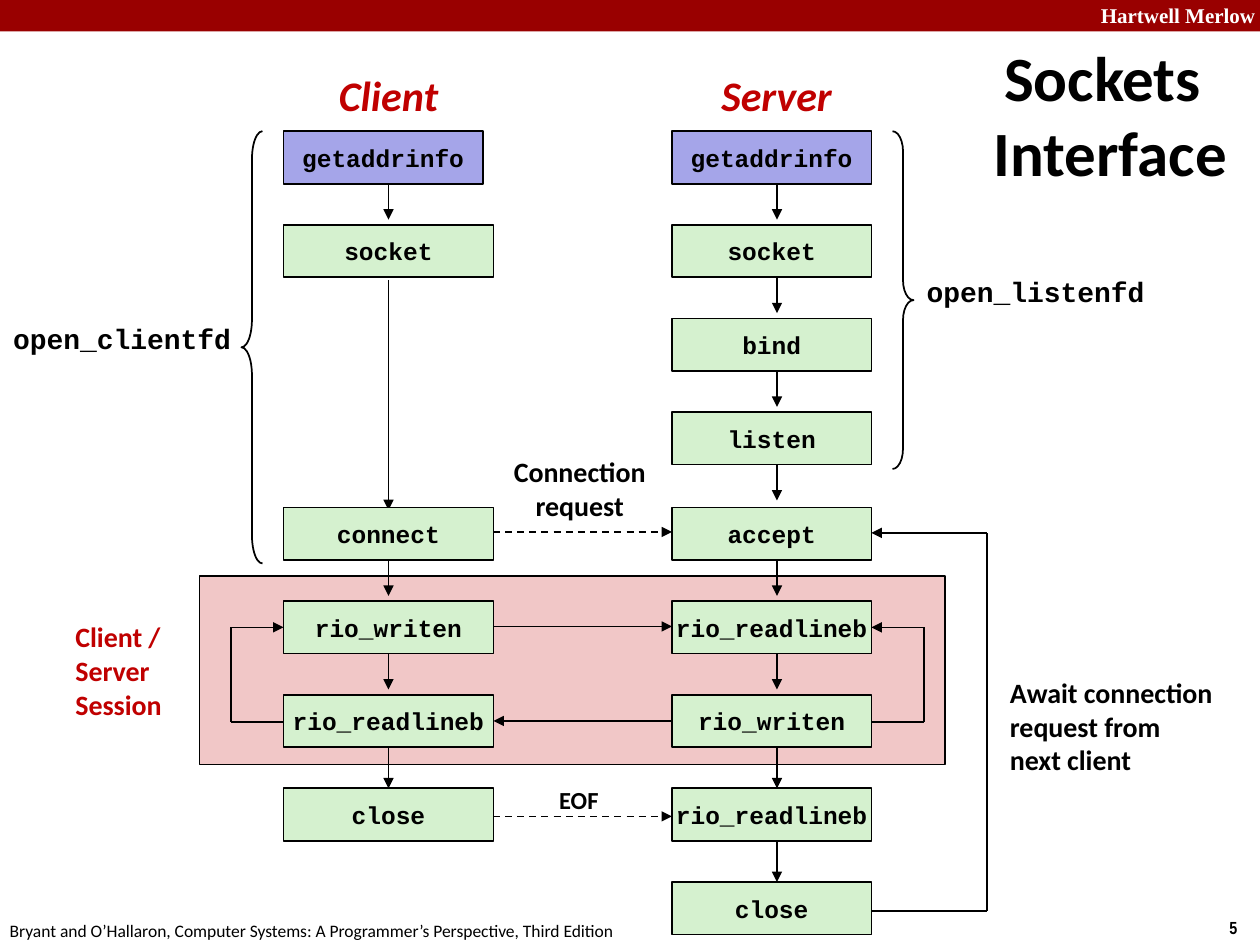
from itertools import pairwise
from pptx import Presentation
from pptx import util as u
from pptx.dml.color import RGBColor
from pptx.enum import dml, shapes, text
from pptx.oxml.ns import qn
from lxml import etree

COLORS = {"black": "000000", "white": "FFFFFF", "banner": "990000", "accent": "C00000",
          "panel": "F1C7C7", "call": "D5F1CF", "lookup": "A5A5E9"}
LEFT, CENTER = text.PP_ALIGN.LEFT, text.PP_ALIGN.CENTER


def write(shape, words, size=14, font="Calibri", color="black", bold=True, italic=False,
          align=CENTER, anchor=text.MSO_ANCHOR.MIDDLE, wrap=False):
    frame = shape.text_frame
    frame.text = words
    frame.word_wrap = wrap
    frame.auto_size = text.MSO_AUTO_SIZE.NONE
    frame.vertical_anchor = anchor
    for para in frame.paragraphs:
        para.alignment = align
        for span in para.runs:
            span.font.name = font
            span.font.size = u.Pt(size)
            span.font.bold = bold
            span.font.italic = italic
            span.font.color.rgb = RGBColor.from_string(COLORS[color])


def outline(shape, fill=None):
    shape.shadow.inherit = False
    shape.line.color.rgb = RGBColor.from_string(COLORS["black"])
    shape.line.width = u.Pt(1)
    if fill:
        shape.fill.solid()
        shape.fill.fore_color.rgb = RGBColor.from_string(COLORS[fill])
    else:
        shape.fill.background()


deck = Presentation()
deck.slide_width, deck.slide_height = u.Pt(720), u.Pt(540)
page = deck.slides.add_slide(deck.slide_layouts[5])

title = page.shapes.title
title.left, title.top, title.width, title.height = u.Pt(546), u.Pt(18), u.Pt(168), u.Pt(94)
write(title, "Sockets Interface", size=36, wrap=True)
indent = title.text_frame.paragraphs[0]._p.get_or_add_pPr()
indent.set("marL", str(u.Pt(9)))
indent.set("indent", str(-u.Pt(9)))

banner = page.shapes.add_shape(shapes.MSO_SHAPE.RECTANGLE, 0, 0, u.Pt(720), u.Pt(18))
outline(banner, "banner")
banner.line.fill.background()
session = page.shapes.add_shape(
    shapes.MSO_SHAPE.RECTANGLE, u.Pt(114), u.Pt(329), u.Pt(426), u.Pt(108))
outline(session, "panel")

BOX_HEIGHT, PITCH = 30, 53.5
rows = [75 + PITCH * i for i in range(4)] + [290 + PITCH * i for i in range(5)]
CLIENT_X, SERVER_X = 222, 444
CLIENT_LEFT, CLIENT_RIGHT, SERVER_LEFT, SERVER_RIGHT = 162, 282, 384, 498

routes = [
    ([(CLIENT_X, 160), (CLIENT_X, 291.5)], False),
    ([(240, 304), (SERVER_LEFT, 304)], True),
    ([(240, 466.5), (SERVER_LEFT, 466.5)], True),
    ([(CLIENT_RIGHT, 358), (SERVER_LEFT, 358)], False),
    ([(SERVER_LEFT, 412), (CLIENT_RIGHT, 412)], False),
    ([(CLIENT_LEFT, 412.5), (132, 412.5), (132, 358.5), (CLIENT_LEFT, 358.5)], False),
    ([(SERVER_RIGHT, 412.5), (528, 412.5), (528, 358.5), (SERVER_RIGHT, 358.5)], False),
    ([(SERVER_RIGHT, 520.5), (564, 520.5), (564, 304.5), (SERVER_RIGHT, 304.5)], False),
]
for x, steps in ((CLIENT_X, (0, 4, 5, 6)), (SERVER_X, range(8))):
    for step in steps:
        reach = PITCH if step > 5 else 50.5
        routes.append(([(x, rows[step] + BOX_HEIGHT - 1), (x, rows[step] + reach)], False))

for points, dashed in routes:
    for start, end in pairwise(points):
        arrow = page.shapes.add_connector(
            shapes.MSO_CONNECTOR.STRAIGHT, *[u.Pt(v) for v in start + end])
        arrow.line.color.rgb = RGBColor.from_string(COLORS["black"])
        arrow.line.width = u.Pt(1)
        if dashed:
            arrow.line.dash_style = dml.MSO_LINE.DASH
        if end == points[-1]:
            etree.SubElement(arrow.line._get_or_add_ln(), qn("a:tailEnd"), type="triangle")
        etree.SubElement(arrow._element.spPr, qn("a:effectLst"))

client_calls = {0: "getaddrinfo", 1: "socket", 4: "connect", 5: "rio_writen",
                6: "rio_readlineb", 7: "close"}
server_calls = dict(enumerate(["getaddrinfo", "socket", "bind", "listen", "accept",
                               "rio_readlineb", "rio_writen", "rio_readlineb", "close"]))
for left, width, calls in ((CLIENT_LEFT, 120, client_calls), (SERVER_LEFT, 114, server_calls)):
    for row, name in calls.items():
        box = page.shapes.add_shape(
            shapes.MSO_SHAPE.RECTANGLE, u.Pt(left), u.Pt(rows[row]),
            u.Pt(width if row else 114), u.Pt(BOX_HEIGHT))
        outline(box, "call" if row else "lookup")
        write(box, name, font="Courier New")

for kind, left, height, curve in ((shapes.MSO_SHAPE.LEFT_BRACE, 138, 247, 1.33),
                                  (shapes.MSO_SHAPE.RIGHT_BRACE, 510, 193, 0.96)):
    brace = page.shapes.add_shape(kind, u.Pt(left), u.Pt(75), u.Pt(12), u.Pt(height))
    brace.adjustments[0] = curve
    outline(brace)

heading = dict(size=24, color="accent", italic=True)
code = dict(size=16, font="Courier New")
note = dict(size=16, align=LEFT, wrap=True)
top = text.MSO_ANCHOR.TOP
labels = [
    ((186, 36, 72, 36), "Client", heading),
    ((404.5, 36, 78.5, 36), "Server", heading),
    ((0, 180, 139.5, 26.5), "open_clientfd", code),
    ((522, 153.5, 139.5, 26.5), "open_listenfd", code),
    ((286, 256, 90.5, 46), "Connection\nrequest", dict(size=16)),
    ((312, 445, 37.5, 24.5), "EOF", {}),
    ((36, 350.5, 66, 65), "Client / Server\nSession", dict(note, color="accent")),
    ((570, 382, 132, 65.5), "Await connection\nrequest from\nnext client", note),
    ((622, -2, 103, 21.5), "Hartwell Merlow",
     dict(size=12, font="Times New Roman", color="white", align=LEFT, anchor=top)),
    ((695.5, 520.5, 24.5, 19.5), "5",
     dict(size=10, font="Arial Narrow", align=LEFT, anchor=top)),
    ((-1.5, 522, 366, 19.5),
     "Bryant and O’Hallaron, Computer Systems: A Programmer’s Perspective, Third Edition",
     dict(size=10, bold=False, align=LEFT, anchor=top)),
]
for place, words, style in labels:
    label = page.shapes.add_textbox(*[u.Pt(v) for v in place])
    write(label, words, **style)

deck.save("out.pptx")
